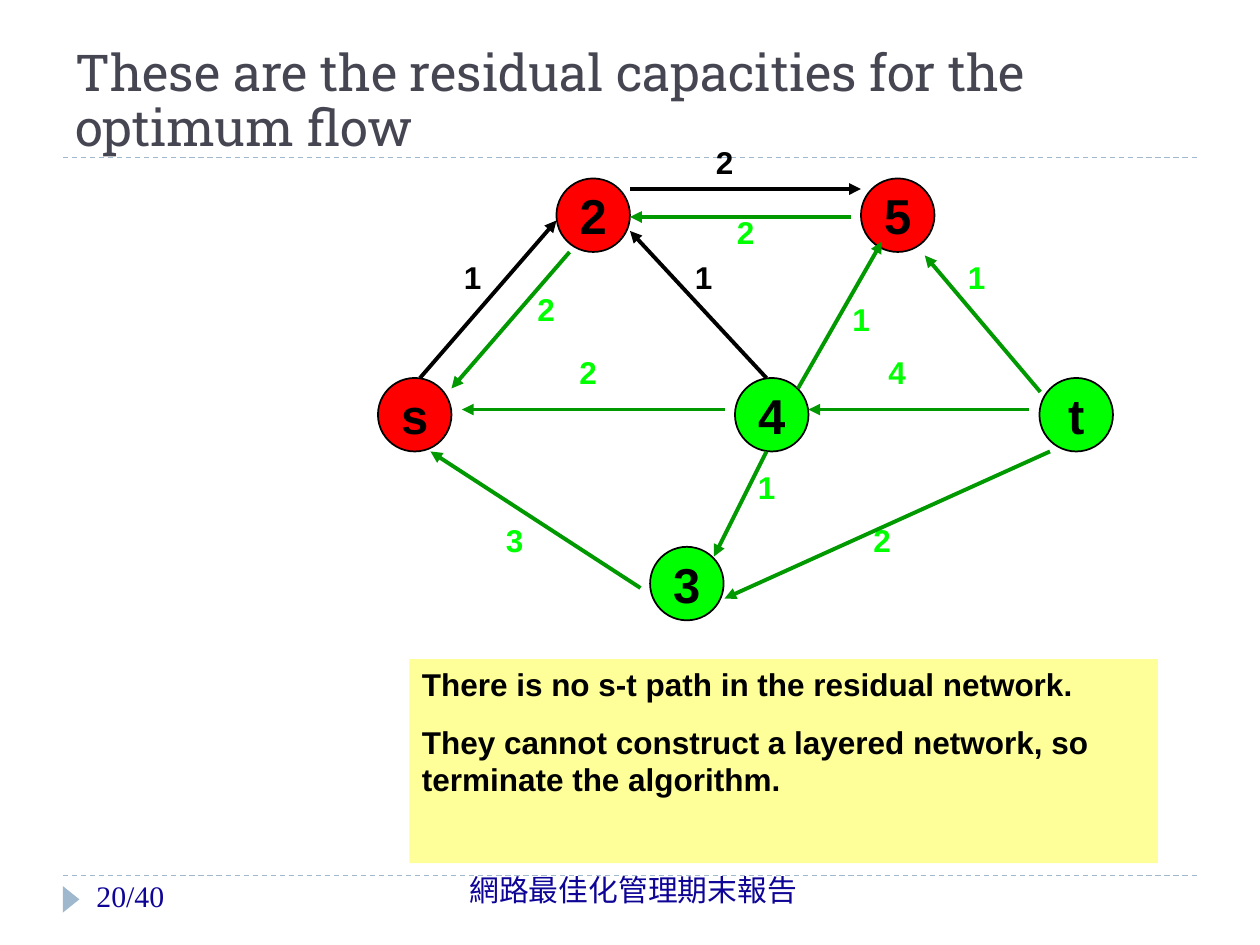
from lxml import etree
from pptx import Presentation
from pptx.dml.color import RGBColor
from pptx.enum.dml import MSO_LINE
from pptx.enum.shapes import MSO_CONNECTOR, MSO_SHAPE
from pptx.enum.text import MSO_ANCHOR, PP_ALIGN
from pptx.oxml.ns import qn
from pptx.util import Pt

STRAIGHT = MSO_CONNECTOR.STRAIGHT
DASH = MSO_LINE.DASH
OVAL, RECTANGLE, TRIANGLE = MSO_SHAPE.OVAL, MSO_SHAPE.RECTANGLE, MSO_SHAPE.ISOSCELES_TRIANGLE
TOP, MIDDLE, BOTTOM = MSO_ANCHOR.TOP, MSO_ANCHOR.MIDDLE, MSO_ANCHOR.BOTTOM
LEFT, CENTER = PP_ALIGN.LEFT, PP_ALIGN.CENTER

COLORS = {
    "rule": "9FB8CD", "title": "464653", "footer": "0E0496", "black": "000000",
    "white": "FFFFFF", "reached": "FF0000", "unreached": "00FF00",
    "residual": "009900", "note": "FFFF99",
}
NODE_SIZE = 42
LABEL_SIZE = (42.5, 28.8)
NODES = [
    ("s", 0, 138, "reached"), ("2", 102, 24, "reached"), ("5", 276, 24, "reached"),
    ("4", 204, 138, "unreached"), ("t", 378, 138, "unreached"), ("3", 155.5, 234.5, "unreached"),
]
FORWARD_EDGES = [
    ((24, 138), (102, 48), "1", (42, 66)),
    ((144, 30), (276, 30), "2", (186, 0)),
    ((222, 138), (144, 54), "1", (174, 66)),
]
BACKWARD_EDGES = [
    ((109.5, 66), (42, 144), "2", (84, 84)),
    ((270, 46), (144, 46), "2", (198, 40)),
    ((378.5, 146), (312.5, 68), "1", (330, 66)),
    ((372, 156), (246, 156), "4", (284.5, 120)),
    ((150, 258), (30, 180), "3", (66, 216)),
    ((222, 180), (192, 240), "1", (210, 186)),
    ((198, 156), (48, 156), "2", (108, 120)),
    ((384, 180), (198, 264), "2", (276, 216)),
    ((240, 144), (288, 60), "1", (264, 90)),
]


def rgb(name):
    """Return the named colour."""
    return RGBColor.from_string(COLORS[name])


def add_shape(slide, kind, box, fill, line=None):
    """Add a flat preset shape."""
    shape = slide.shapes.add_shape(kind, *map(Pt, box))
    shape.shadow.inherit = False
    shape.fill.solid()
    shape.fill.fore_color.rgb = rgb(fill)
    if line:
        shape.line.color.rgb = rgb(line)
        shape.line.width = Pt(1)
    else:
        shape.line.fill.background()
    return shape


def write(shape, texts, size, color, font="Arial", bold=True, align=LEFT,
          anchor=TOP, wrap=True, spacing=None, gap=0):
    """Write one paragraph for each text into a shape."""
    frame = shape.text_frame
    frame.word_wrap = wrap
    frame.vertical_anchor = anchor
    for index, text in enumerate(texts):
        paragraph = frame.add_paragraph() if index else frame.paragraphs[0]
        paragraph.alignment = align
        paragraph.line_spacing = spacing
        if index:
            paragraph.space_before = Pt(gap)
        run = paragraph.add_run()
        run.text = text
        run.font.size = Pt(size)
        run.font.name = font
        run.font.bold = bold
        run.font.color.rgb = rgb(color)


def add_line(slide, start, end, color, width):
    """Add a straight line without a shadow."""
    line = slide.shapes.add_connector(STRAIGHT, *map(Pt, (*start, *end)))
    line.line.color.rgb = rgb(color)
    line.line.width = Pt(width)
    etree.SubElement(line._element.spPr, qn("a:effectLst"))
    return line


def add_rule(slide, left, top, width):
    """Add a dashed horizontal rule."""
    add_line(slide, (left, top), (left + width, top), "rule", 0.75).line.dash_style = DASH


def add_title(slide, left, top, width, height):
    """Add the heading with the rule below it."""
    add_rule(slide, left, top + height, width)
    box = slide.shapes.add_textbox(*map(Pt, (left, top, width, height)))
    box.text_frame.margin_top = box.text_frame.margin_bottom = Pt(0)
    write(box, ["These are the residual capacities for the optimum flow"], 29, "title",
          font="Roboto Slab", bold=False, anchor=BOTTOM, spacing=0.9)


def add_edge(slide, left, top, edge, line_color, label_color):
    """Add one arrow and its capacity."""
    start, end, capacity, (label_x, label_y) = edge
    label = slide.shapes.add_textbox(*map(Pt, (left + label_x, top + label_y, *LABEL_SIZE)))
    write(label, [capacity], 18, label_color)
    points = [(left + x, top + y) for x, y in (start, end)]
    arrow = add_line(slide, *points, line_color, 2.25)
    outline = arrow.line._get_or_add_ln()
    etree.SubElement(outline, qn("a:tailEnd"), type="triangle")


def add_network(slide, left, top):
    """Add the residual network."""
    for name, x, y, fill in NODES:
        node = add_shape(slide, OVAL, (left + x, top + y, NODE_SIZE, NODE_SIZE), fill, "black")
        write(node, [name], 28, "black", align=CENTER, anchor=MIDDLE, wrap=False)
    for edge in FORWARD_EDGES:
        add_edge(slide, left, top, edge, "black", "black")
    for edge in BACKWARD_EDGES:
        add_edge(slide, left, top, edge, "residual", "unreached")


def add_note(slide, left, top, width, height):
    """Add the conclusion panel."""
    panel = add_shape(slide, RECTANGLE, (left, top, width, height), "note")
    write(panel, ["There is no s-t path in the residual network.",
                  "They cannot construct a layered network, so terminate the algorithm."],
          18, "black", gap=11.2)


def add_footer(slide, left, top, width):
    """Add the bottom rule, marker, page number and report name."""
    add_rule(slide, left, top, width)
    marker = add_shape(slide, TRIANGLE, (left - 2.9, top + 8.8, 15.1, 9.4), "rule")
    marker.rotation = 90
    report = slide.shapes.add_textbox(*map(Pt, (left + 188, top - 3.6, 275.8, 28.8)))
    write(report, ["網路最佳化管理期末報告"], 17, "footer", font="Cabin", bold=False,
          align=CENTER, spacing=0.9)
    page = slide.shapes.add_textbox(*map(Pt, (left + 12, top, 156, 28.8)))
    write(page, ["20/40"], 17, "footer", font="Times New Roman", bold=False, spacing=0.9)


def main():
    """Build and save the slide."""
    presentation = Presentation()
    presentation.slide_width, presentation.slide_height = Pt(720), Pt(540)
    slide = presentation.slides.add_slide(presentation.slide_layouts[6])
    add_footer(slide, 36, 500.4, 648)
    add_title(slide, 36, 18, 648, 72)
    add_network(slide, 216, 78)
    add_note(slide, 234, 376.6, 427.7, 116.6)
    presentation.save("out.pptx")


if __name__ == "__main__":
    main()
